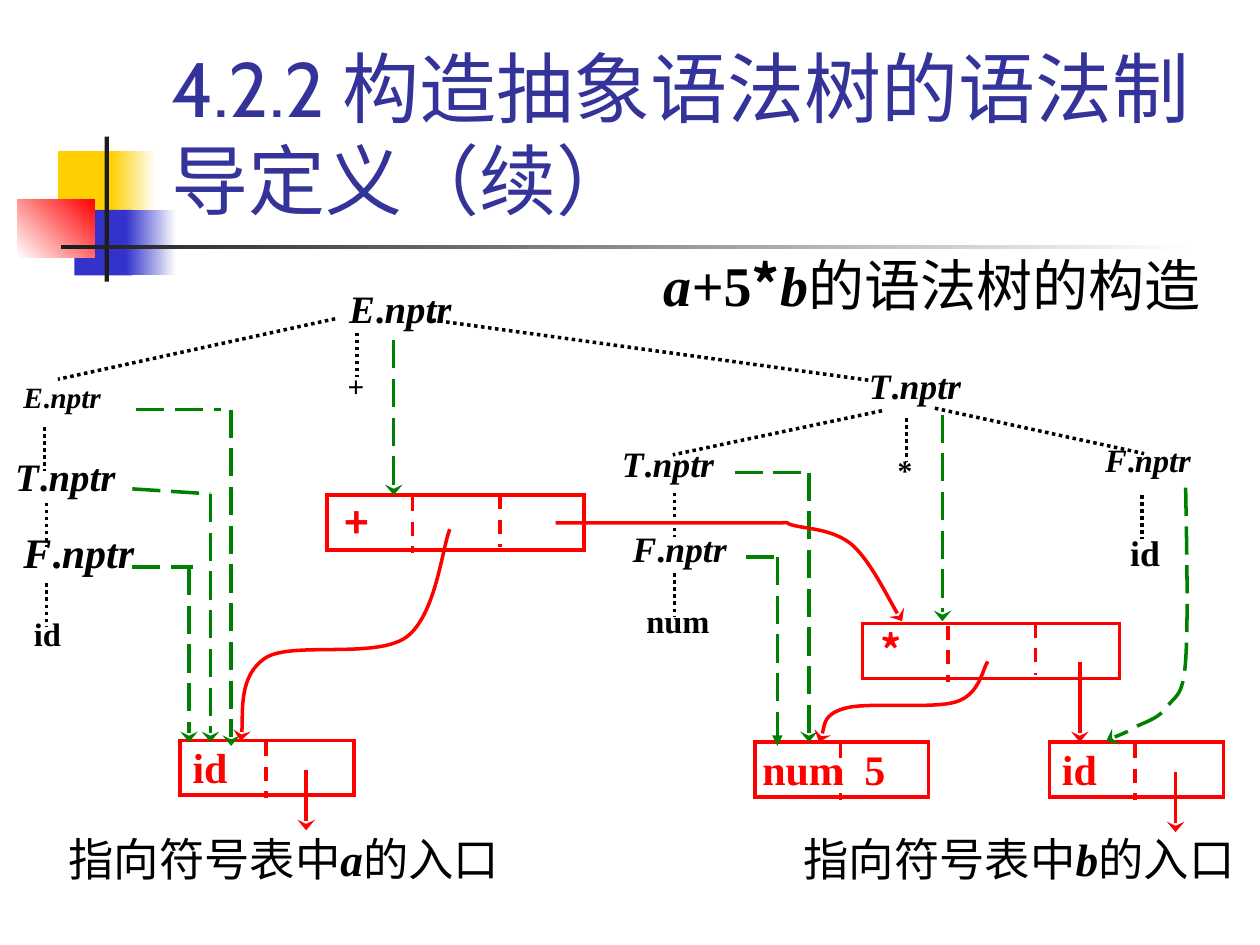
from pptx import Presentation
from pptx.dml.color import RGBColor
from pptx.enum.dml import MSO_LINE as Dash
from pptx.enum.shapes import MSO_CONNECTOR as Connector, MSO_SHAPE as Shape
from pptx.enum.text import MSO_ANCHOR as Anchor, PP_ALIGN as Align
from pptx.oxml.ns import qn
from pptx.util import Inches, Pt
from lxml.etree import SubElement

COLUMNS, ROWS = 100, 75
WIDTH, HEIGHT = Inches(10), Inches(7.5)
BLACK = RGBColor(0, 0, 0)
WHITE = RGBColor(255, 255, 255)
RED = RGBColor(255, 0, 0)
GREEN = RGBColor(0, 128, 0)
YELLOW = RGBColor(255, 207, 1)
BLUE = RGBColor(51, 51, 204)
TITLE_BLUE = RGBColor(51, 51, 153)
CHARCOAL = RGBColor(28, 28, 28)
SERIF, SANS, HEADING = "Times New Roman", "Noto Sans CJK SC", "Cabin"
PLAIN, BOLD, ITALIC = (False, False), (True, False), (True, True)
TIGHT = (0.2, 0.1)
LOOSE = (1, 0.5)
EDGE = 3.5
HEAD_WIDTHS = {"stealth": "lg", "triangle": "med"}


def x(column):
    return round(WIDTH * column / COLUMNS)


def y(row):
    return round(HEIGHT * row / ROWS)


def area(left, top, width, height):
    return x(left), y(top), x(width), y(height)


def add_run(paragraph, text, size, style=PLAIN, color=BLACK, font=SERIF):
    run = paragraph.add_run()
    run.text = text
    run.font.size = Pt(size)
    run.font.bold, run.font.italic = style
    run.font.color.rgb = color
    run.font.name = font
    east_asian = SANS if font == SANS else HEADING
    SubElement(run.font._element, qn("a:ea"), typeface=east_asian)


def prepare_text(shape, insets, align=Align.LEFT, anchor=Anchor.TOP, left_inset=None):
    frame = shape.text_frame
    frame.word_wrap = True
    frame.vertical_anchor = anchor
    side, edge = insets
    frame.margin_left = x(side if left_inset is None else left_inset)
    frame.margin_right = x(side)
    frame.margin_top = frame.margin_bottom = y(edge)
    paragraph = frame.paragraphs[0]
    paragraph.alignment = align
    return paragraph


def add_text(slide, box, insets=TIGHT, align=Align.LEFT, anchor=Anchor.TOP):
    return prepare_text(slide.shapes.add_textbox(*area(*box)), insets, align, anchor)


def add_block(slide, box, color, end_color=None, angle=0):
    shape = slide.shapes.add_shape(Shape.RECTANGLE, *area(*box))
    shape.shadow.inherit = False
    shape.line.fill.background()
    if end_color is None:
        shape.fill.solid()
        shape.fill.fore_color.rgb = color
        return
    shape.fill.gradient()
    shape.fill.gradient_angle = angle
    for stop, stop_color in zip(shape.fill.gradient_stops, (color, end_color)):
        stop.color.rgb = stop_color


def style_line(shape, color, dash=None, head=None):
    shape.line.width = Pt(2)
    shape.line.color.rgb = color
    if dash is not None:
        shape.line.dash_style = dash
    if head:
        SubElement(shape.get_or_add_ln(), qn("a:tailEnd"), type=head, w=HEAD_WIDTHS[head])


def add_line(slide, start, end, color, dash=None, head=None):
    line = slide.shapes.add_connector(
        Connector.STRAIGHT, x(start[0]), y(start[1]), x(end[0]), y(end[1]))
    style_line(line, color, dash, head)
    SubElement(line._element.spPr, qn("a:effectLst"))


def add_curve(slide, knots, color, dash=None):
    points = [(x(column), y(row)) for column, row in knots]
    builder = slide.shapes.build_freeform(*points[0])
    builder.add_line_segments(points[1:], close=False)
    curve = builder.convert_to_shape()
    outline = next(curve._element.iter(qn("a:path")))
    segments = outline.findall(qn("a:lnTo"))
    for i in range(0, len(segments), 3):
        bezier = SubElement(outline, qn("a:cubicBezTo"))
        for segment in segments[i:i + 3]:
            bezier.append(segment[0])
            outline.remove(segment)
    curve.shadow.inherit = False
    curve.fill.background()
    style_line(curve, color, dash, "stealth")


def add_record(slide, left, top, width, label, left_inset, font=SERIF, fields=2):
    shape = slide.shapes.add_shape(Shape.RECTANGLE, *area(left, top, width, 4.35))
    shape.shadow.inherit = False
    shape.fill.background()
    style_line(shape, RED)
    SubElement(shape.get_or_add_ln(), qn("a:miter"), lim="800000")
    paragraph = prepare_text(shape, TIGHT, left_inset=left_inset)
    if "\t" in label:
        tabs = SubElement(paragraph._p.get_or_add_pPr(), qn("a:tabLst"))
        SubElement(tabs, qn("a:tab"), pos=str(x(8.1)), algn="l")
    add_run(paragraph, label, 24, BOLD, RED, font)
    for offset, drop, length in ((6.8, 0.15, 4.45), (13.75, 0, 4.1))[:fields - 1]:
        start = (left + offset, top + drop)
        add_line(slide, start, (start[0], start[1] + length), RED, Dash.DASH)


def add_decoration(slide):
    add_block(slide, (4.6, 12, 4.8, 5.2), YELLOW)
    add_block(slide, (8.8, 12, 3.6, 5.2), YELLOW, WHITE)
    add_block(slide, (5.9, 16.65, 4.6, 5.2), BLUE)
    add_block(slide, (10, 16.65, 4, 5.2), BLUE, WHITE)
    add_block(slide, (1.4, 15.8, 6.1, 4.65), WHITE, RED, 45)
    add_block(slide, (8.3, 10.85, 0.35, 11.5), CHARCOAL)
    add_block(slide, (4.85, 19.45, 90, 0.35), CHARCOAL, WHITE)


def add_headings(slide):
    title = add_text(slide, (12.6, 2.35, 85.2, 16), LOOSE, anchor=Anchor.BOTTOM)
    add_run(title, "4.2.2 构造抽象语法树的语法制导定义（续）", 44, color=TITLE_BLUE, font=HEADING)
    subtitle = add_text(slide, (51.7, 20, 47.5, 5.8), LOOSE)
    subtitle.line_spacing = 0.9
    for text, style, font in (("a", ITALIC, SERIF), ("+5", BOLD, SERIF), ("*", BOLD, SANS),
                              ("b", ITALIC, SERIF), ("的语法树的构造", PLAIN, SERIF)):
        add_run(subtitle, text, 32, style, font=font)


def add_parse_tree(slide):
    for symbol, size, left, top in (
            ("E", 22.2, 27.5, 22.5), ("T", 20.4, 68.75, 28.8), ("E", 16.8, 1.65, 30),
            ("T", 22.2, 1, 35.8), ("F", 24, 1.65, 41.7), ("T", 20.4, 49.15, 35),
            ("F", 20.4, 50, 41.7), ("F", 18.6, 87.5, 34.8)):
        node = add_text(slide, (left, top, 10.5, 4))
        for text, style in ((symbol, ITALIC), (".", BOLD), ("nptr", ITALIC)):
            add_run(node, text, size, style)
    for text, size, left, top in (
            ("id", 18.6, 2.5, 48.6), ("+", 16.8, 27.4, 29.1), ("*", 16.8, 71.05, 35.8),
            ("id", 20.4, 89.5, 42), ("num", 18.6, 51.1, 47.6)):
        add_run(add_text(slide, (left, top, 7.3, 3.5)), text, size, BOLD)
    for start, end in (((26.6, 25.3), (4.6, 30.1)), ((34.3, 25.4), (69.1, 30.2)),
                       ((70, 32.6), (53.4, 36.1)), ((74.2, 32.4), (90.8, 36))):
        add_line(slide, start, end, BLACK, Dash.ROUND_DOT)
    for column, row in ((3.55, 33.9), (3.7, 39.9), (3.7, 46.3), (28.35, 26.4), (71.95, 33.2),
                        (53.55, 39.1), (53.55, 45.5), (90.65, 39.3)):
        add_line(slide, (column, row), (column, row + EDGE), BLACK, Dash.ROUND_DOT)


def add_records(slide):
    for left, top in ((14.3, 58.75), (83.3, 58.9)):
        add_record(slide, left, top, 13.8, "id", 1)
        pointer = left + 10
        add_line(slide, (pointer, top + 2.35), (pointer, top + 7.15), RED, head="stealth")
    add_record(slide, 59.9, 58.9, 13.8, "num\t5", 0.6)
    add_record(slide, 68.45, 49.5, 20.4, "*", 1.4, SANS, 3)
    add_record(slide, 25.95, 39.3, 20.4, "+", 1.4, SANS, 3)
    for left, name in ((3.4, "a"), (61.75, "b")):
        caption = add_text(slide, (left, 65.85, 38.25, 5.8), align=Align.CENTER)
        for text, style in (("指向符号表中", PLAIN), (name, ITALIC), ("的入口", PLAIN)):
            add_run(caption, text, 25.9, style)


def add_pointers(slide):
    for column, top, bottom, head in (
            (31.25, 27, 39.3, "stealth"), (18.35, 32.5, 59.2, "stealth"),
            (64.2, 37.5, 58.9, "stealth"), (74.8, 32.9, 49.3, "stealth"),
            (15, 45, 58.9, "stealth"), (16.7, 39.2, 58.9, "stealth"),
            (61.7, 44.2, 59.2, "triangle")):
        add_line(slide, (column, top), (column, bottom), GREEN, Dash.LONG_DASH, head)
    for start, end in (((10.8, 32.5), (17.5, 32.5)), ((10.5, 38.8), (16.7, 39.2)),
                       ((10.5, 45), (15.3, 45)), ((58.3, 37.5), (64.2, 37.5)),
                       ((59.2, 44.2), (62, 44.2))):
        add_line(slide, start, end, GREEN, Dash.LONG_DASH)
    add_line(slide, (85.7, 52.5), (85.7, 58.9), RED, head="stealth")
    add_curve(slide, ((35.7, 42), (35.1, 43.4), (34.6, 48.9), (32.2, 50.6), (29.7, 52.3),
                      (23.2, 50.9), (21.1, 52.2), (18.9, 53.6), (19.4, 57.7), (19.1, 58.8)), RED)
    add_curve(slide, ((44.1, 41.5), (46.9, 41.5), (57.4, 41.5), (60.5, 41.5), (63.7, 41.5),
                      (61.8, 41.4), (63, 41.7), (64.2, 42), (66.2, 42), (67.7, 43.3),
                      (69.1, 44.6), (70.8, 48.1), (71.6, 49.3)), RED)
    add_curve(slide, ((78.4, 52.5), (78, 53), (77.8, 55.1), (75.9, 55.7), (74, 56.3),
                      (69, 55.7), (67.1, 56.2), (65.3, 56.7), (65.4, 58.3), (65, 58.9)), RED)
    add_curve(slide, ((94.1, 38.7), (94.2, 44.1), (94.3, 49.5), (94.1, 52.4), (93.9, 55.3),
                      (93.3, 55.2), (92.7, 56), (92.1, 56.9), (91.2, 57.2), (90.3, 57.6),
                      (89.5, 58.1), (88.4, 58.5), (87.8, 58.8)), GREEN, Dash.LONG_DASH)


def main():
    presentation = Presentation()
    presentation.slide_width, presentation.slide_height = WIDTH, HEIGHT
    slide = presentation.slides.add_slide(presentation.slide_layouts[6])
    for add_part in (add_decoration, add_headings, add_parse_tree, add_records, add_pointers):
        add_part(slide)
    presentation.save("out.pptx")


if __name__ == "__main__":
    main()
